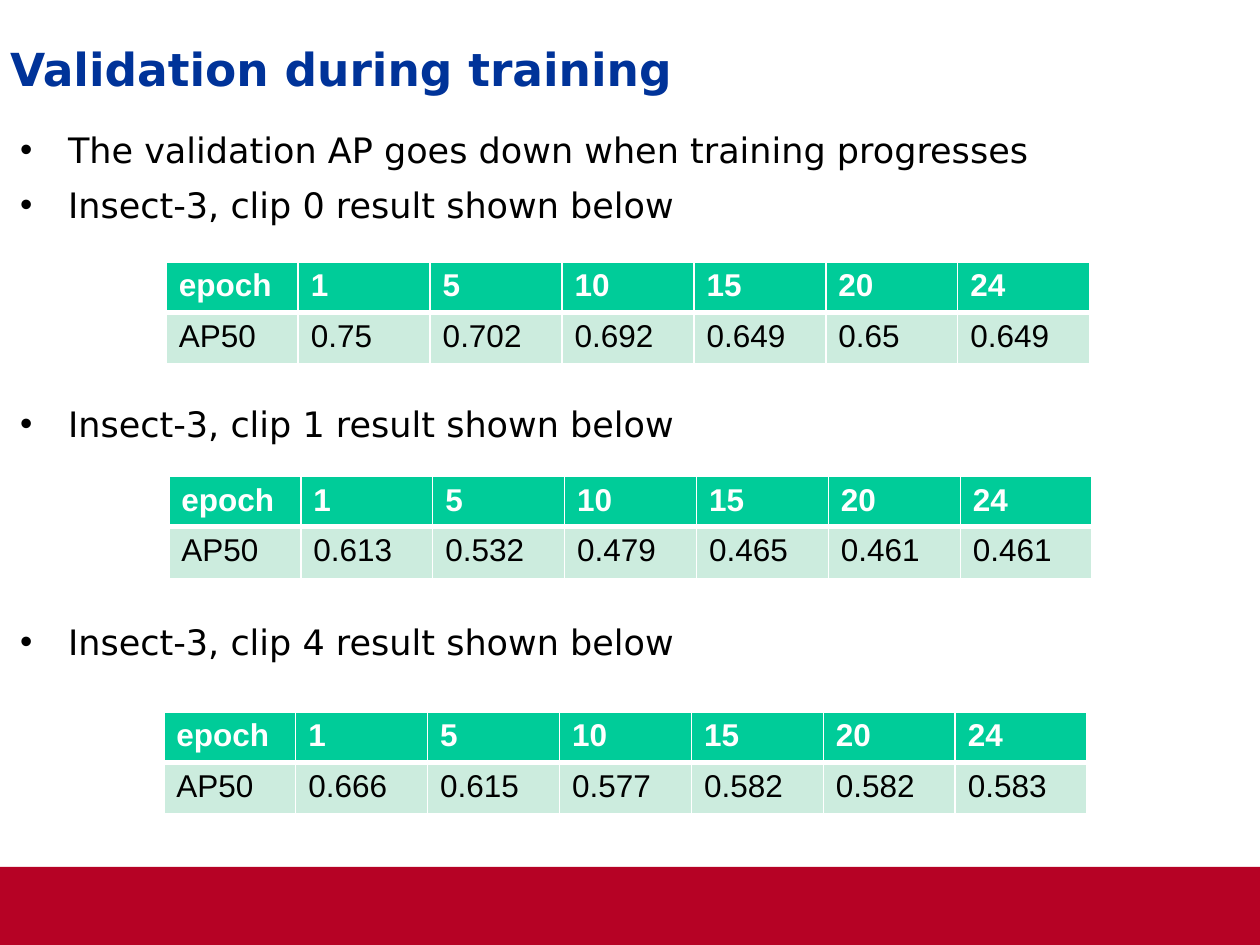
from lxml import etree
from pptx import Presentation
from pptx.dml.color import RGBColor
from pptx.enum.shapes import MSO_SHAPE
from pptx.enum.text import MSO_ANCHOR
from pptx.oxml.ns import qn
from pptx.util import Inches, Pt

RECT = MSO_SHAPE.RECTANGLE
MIDDLE = MSO_ANCHOR.MIDDLE


def rgb(value):
    return RGBColor.from_string(value)


def write(p, text, size=20, font="DejaVu Sans", color="000000", bold=False):
    r = p.add_run()
    r.text = text
    r.font.size = Pt(size)
    r.font.name = font
    r.font.color.rgb = rgb(color)
    r.font.bold = bold


prs = Presentation()
prs.slide_width, prs.slide_height = Inches(10), Inches(7.5)
s = prs.slides.add_slide(prs.slide_layouts[6])

# Footer band
band = s.shapes.add_shape(RECT, 0, Inches(6.88), Inches(10), Inches(0.62))
band.shadow.inherit = False
band.fill.solid()
band.fill.fore_color.rgb = rgb("B60225")
band.line.fill.background()

# Text boxes for the title and the bullets
frames = []
for left, top, width, height in [(0.08, 0.19, 9.77, 0.79), (0.16, 1.02, 9.69, 4.4)]:
    sp = s.shapes.add_textbox(Inches(left), Inches(top), Inches(width), Inches(height))
    tf = sp.text_frame
    tf.word_wrap = True
    tf.margin_left = tf.margin_top = 0
    tf.margin_right, tf.margin_bottom = Inches(0.1), Inches(0.05)
    frames.append(tf)
title, body = frames

# Title
title.vertical_anchor = MIDDLE
title.paragraphs[0].line_spacing = 0.95
write(title.paragraphs[0], "Validation during training", size=26, color="003399", bold=True)

# Bullets, with room for a table before each later clip
bullets = [
    ("The validation AP goes down when training progresses", 0),
    ("Insect-3, clip 0 result shown below", 4.6),
    ("Insect-3, clip 1 result shown below", 97.7),
    ("Insect-3, clip 4 result shown below", 97.7),
]
for i, (text, before) in enumerate(bullets):
    p = body.add_paragraph() if i else body.paragraphs[0]
    p.space_before, p.space_after = Pt(before), Pt(3)
    pPr = p._p.get_or_add_pPr()
    pPr.set("marL", str(Inches(0.38)))
    pPr.set("indent", str(-Inches(0.38)))
    etree.SubElement(pPr, qn("a:buFont")).set("typeface", "Arial")
    etree.SubElement(pPr, qn("a:buChar")).set("char", "•")
    write(p, text)

# One AP50 table per clip
header = ["epoch", "1", "5", "10", "15", "20", "24"]
tables = [
    (1.32, 2.08, ["0.75", "0.702", "0.692", "0.649", "0.65", "0.649"]),
    (1.34, 3.78, ["0.613", "0.532", "0.479", "0.465", "0.461", "0.461"]),
    (1.3, 5.65, ["0.666", "0.615", "0.577", "0.582", "0.582", "0.583"]),
]
for left, top, scores in tables:
    rows = [header, ["AP50"] + scores]
    table = s.shapes.add_table(2, len(header), Inches(left), Inches(top),
                               Inches(7.33), Inches(0.8)).table
    table.rows[0].height, table.rows[1].height = Inches(0.39), Inches(0.41)
    for i, row in enumerate(rows):
        is_header = i == 0
        for j, text in enumerate(row):
            cell = table.cell(i, j)
            cell.fill.solid()
            cell.fill.fore_color.rgb = rgb("00CC99" if is_header else "CCECDE")
            write(cell.text_frame.paragraphs[0], text, size=18, font="Arial",
                  color="FFFFFF" if is_header else "000000", bold=is_header)
            # White borders, thick between header and scores
            widths = {"lnL": 1, "lnR": 1, "lnT": 1 if is_header else 3,
                      "lnB": 3 if is_header else 1}
            tcPr = cell._tc.get_or_add_tcPr()
            for k, (side, width) in enumerate(widths.items()):
                ln = etree.Element(qn("a:" + side), w=str(Pt(width)))
                fill = etree.SubElement(ln, qn("a:solidFill"))
                etree.SubElement(fill, qn("a:srgbClr")).set("val", "FFFFFF")
                tcPr.insert(k, ln)

prs.save("out.pptx")
